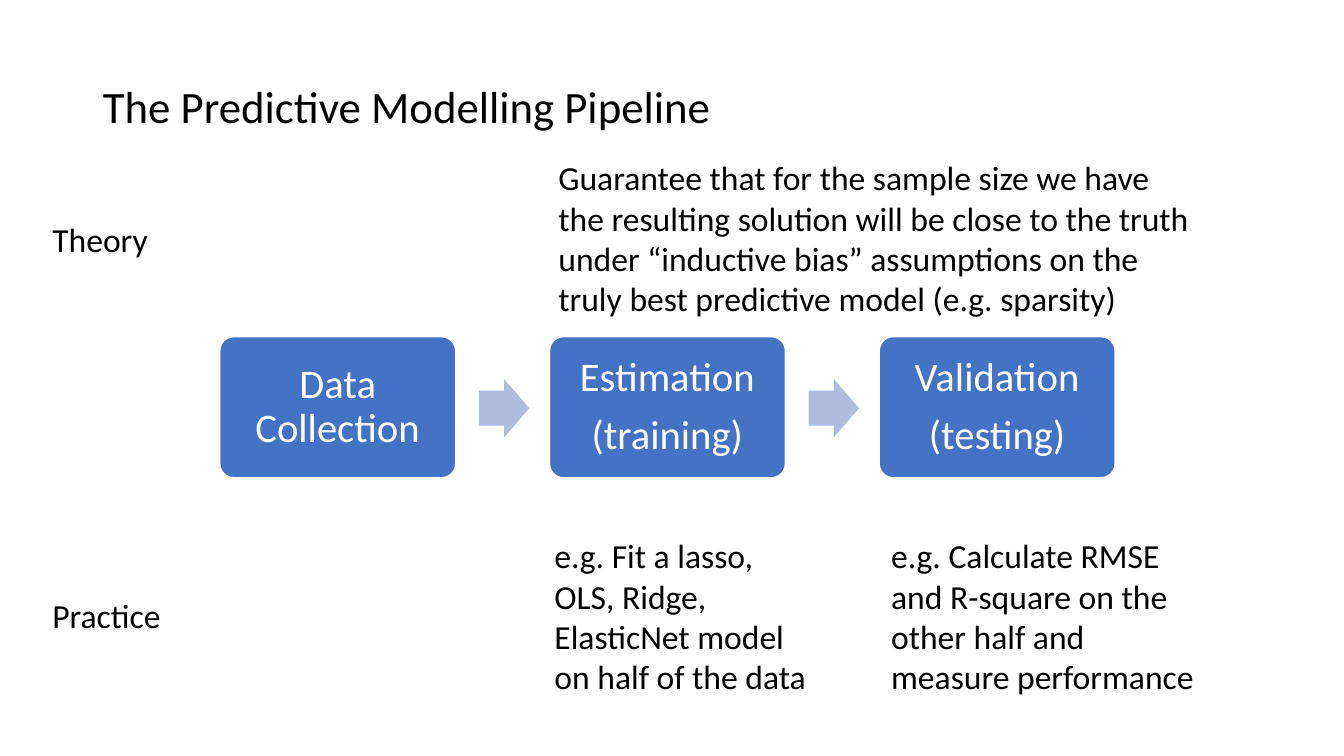
import pptx
import pptx.util
import pptx.dml.color
import pptx.enum.shapes
import pptx.enum.text
from pptx.util import Inches

SHAPES = pptx.enum.shapes.MSO_SHAPE
ALIGN = pptx.enum.text.PP_ALIGN
ANCHOR = pptx.enum.text.MSO_ANCHOR
AUTO_SIZE = pptx.enum.text.MSO_AUTO_SIZE


def color(hex_string):
    return pptx.dml.color.RGBColor.from_string(hex_string)


def write(shape, *lines, size=24, hex_color="000000", align=ALIGN.LEFT,
          anchor=ANCHOR.TOP, line_spacing=1.0, gap=0, inset=(0.1, 0.05)):
    """Fill a shape with one paragraph per line; gap is the points between them."""
    frame = shape.text_frame
    frame.word_wrap = True
    frame.auto_size = AUTO_SIZE.NONE
    frame.vertical_anchor = anchor
    frame.margin_left = frame.margin_right = Inches(inset[0])
    frame.margin_top = frame.margin_bottom = Inches(inset[1])
    for index, line in enumerate(lines):
        para = frame.add_paragraph() if index else frame.paragraphs[0]
        para.alignment = align
        para.line_spacing = line_spacing
        para.space_before = pptx.util.Pt(gap if index else 0)
        span = para.add_run()
        span.text = line
        span.font.name = "Calibri"
        span.font.size = pptx.util.Pt(size)
        span.font.color.rgb = color(hex_color)


deck = pptx.Presentation()
deck.slide_width = Inches(13.33)
deck.slide_height = Inches(7.5)
page = deck.slides.add_slide(deck.slide_layouts[5])

title = page.shapes.title
title.left, title.top = Inches(0.92), Inches(0.36)
title.width, title.height = Inches(11.5), Inches(1.45)
write(title, "The Predictive Modelling Pipeline", size=32,
      anchor=ANCHOR.MIDDLE, line_spacing=0.9)

# Pipeline stages, with an arrow leading into each stage after the first
first_left, pitch = 2.18, 3.27
stages = [("Data Collection",), ("Estimation", "(training)"), ("Validation", "(testing)")]
for index, lines in enumerate(stages):
    left = first_left + index * pitch
    stage = page.shapes.add_shape(SHAPES.ROUNDED_RECTANGLE, Inches(left), Inches(3.34),
                                  Inches(2.34), Inches(1.4))
    stage.shadow.inherit = False
    stage.adjustments[0] = 0.1
    stage.fill.solid()
    stage.fill.fore_color.rgb = color("4472C4")
    stage.line.color.rgb = color("FFFFFF")
    stage.line.width = pptx.util.Pt(1)
    write(stage, *lines, size=29, hex_color="FFFFFF", align=ALIGN.CENTER,
          anchor=ANCHOR.MIDDLE, line_spacing=0.9, gap=10, inset=(0.12, 0.12))
    if index:
        arrow = page.shapes.add_shape(SHAPES.RIGHT_ARROW, Inches(left - 0.7), Inches(3.76),
                                      Inches(0.5), Inches(0.58))
        arrow.shadow.inherit = False
        arrow.adjustments[0] = 0.6
        arrow.adjustments[1] = 0.5
        arrow.fill.solid()
        arrow.fill.fore_color.rgb = color("B0BCDE")
        arrow.line.fill.background()

# Row labels and the notes above and below the stages
notes = [
    (5.4, 5.26, 2.81, 1.72,
     "e.g. Fit a lasso, OLS, Ridge, ElasticNet model on half of the data"),
    (8.74, 5.26, 3.27, 1.72,
     "e.g. Calculate RMSE and R-square on the other half and measure performance"),
    (5.44, 1.51, 6.5, 1.72,
     "Guarantee that for the sample size we have the resulting solution will be close "
     "to the truth under “inductive bias” assumptions on the truly best predictive "
     "model (e.g. sparsity)"),
    (0.42, 2.12, 1.45, 0.5, "Theory"),
    (0.42, 5.85, 1.45, 0.5, "Practice"),
]
for left, top, width, height, note in notes:
    box = page.shapes.add_textbox(Inches(left), Inches(top), Inches(width), Inches(height))
    write(box, note)

deck.save("out.pptx")
